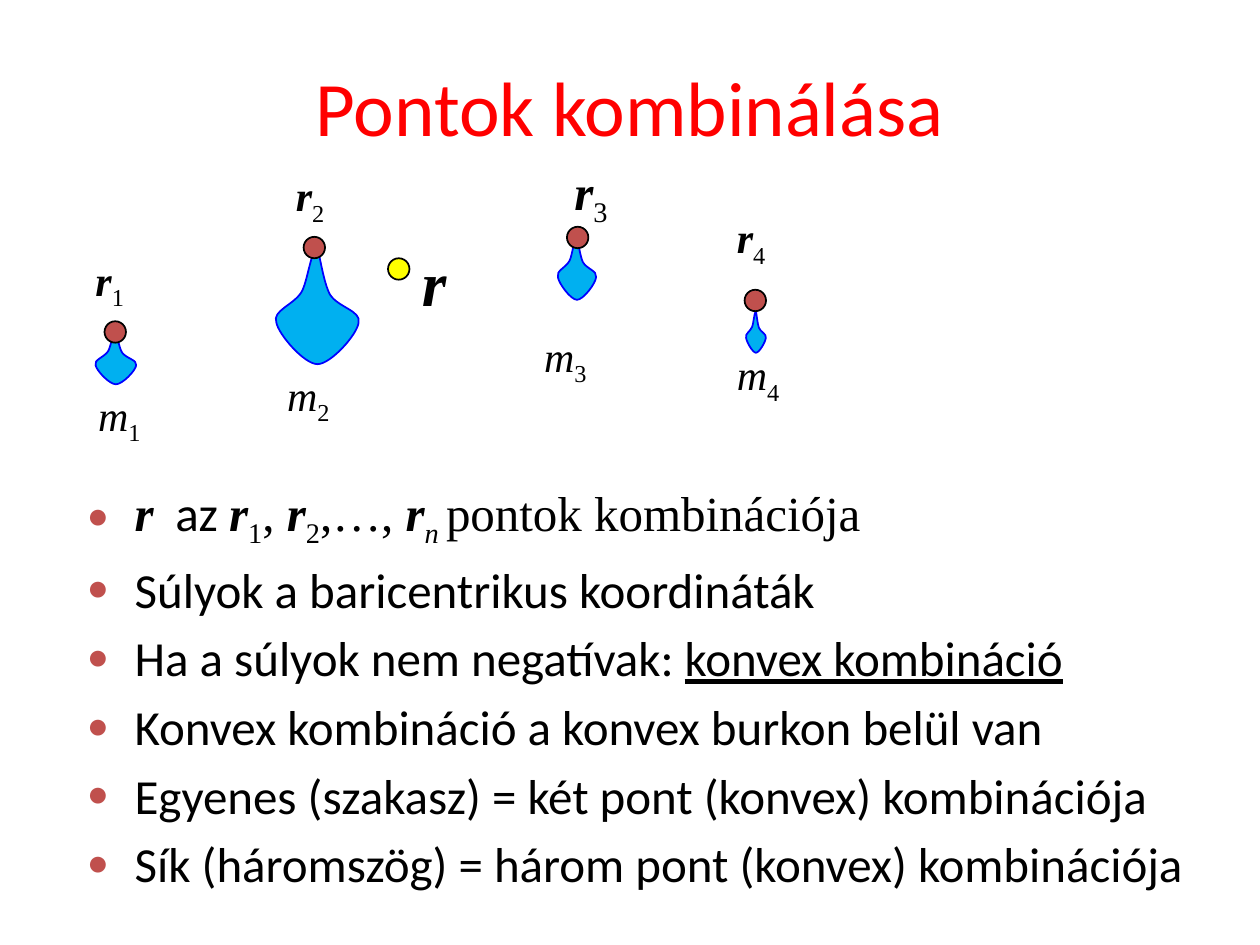
"""Build a slide on combining weighted points."""
from lxml.etree import SubElement
from pptx import Presentation
from pptx.dml.color import RGBColor
from pptx.enum.shapes import MSO_SHAPE
from pptx.enum.text import MSO_ANCHOR, MSO_AUTO_SIZE, PP_ALIGN
from pptx.oxml.ns import qn
from pptx.util import Inches, Pt


def hue(code):
    return RGBColor.from_string(code)


def write(para, text, size=28, face="Times New Roman", color="000000",
          bold=False, slant=False, under=False, sub=False, gap=0):
    run = para.add_run()
    run.text = text
    font = run.font
    font.size, font.name = Pt(size), face
    font.bold, font.italic, font.underline = bold, slant, under
    font.color.rgb = hue(color)
    props = run._r.get_or_add_rPr()
    if sub:
        props.set("baseline", "-25000")
    if gap:
        props.set("spc", str(gap))


deck = Presentation()
deck.slide_width, deck.slide_height = Inches(10), Inches(7.5)
slide = deck.slides.add_slide(deck.slide_layouts[6])
shapes = slide.shapes

rim = [
    (-0.07, 0), (-0.11, 0.29), (-0.18, 0.38),
    (-0.27, 0.49), (-0.51, 0.54), (-0.46, 0.64),
    (-0.44, 0.74), (-0.15, 1), (0, 1),
    (0.15, 1), (0.45, 0.74), (0.46, 0.64),
    (0.49, 0.54), (0.23, 0.51), (0.14, 0.4),
    (0.07, 0.3), (0.03, 0.08), (0, 0),
]
drops = [(0.92, 2.63, 0.35, 0.42), (4.58, 1.88, 0.33, 0.5),
         (2.52, 1.97, 0.71, 0.92), (6, 2.47, 0.17, 0.33)]
for mid, top, wide, high in drops:
    pen = shapes.build_freeform(Inches(mid), Inches(top))
    pen.add_line_segments([(Inches(mid + x * wide), Inches(top + y * high))
                           for x, y in rim])
    drop = pen.convert_to_shape()
    legs = list(drop._element.iter(qn("a:lnTo")))
    for one, two, end in zip(legs[::3], legs[1::3], legs[2::3]):
        one.tag = qn("a:cubicBezTo")
        for leg in (two, end):
            one.append(leg[0])
            leg.getparent().remove(leg)
    drop.shadow.inherit = False
    drop.fill.solid()
    drop.fill.fore_color.rgb = hue("00B0F0")
    drop.line.color.rgb = hue("0000FF")
    drop.line.width = Pt(1)

title = shapes.add_textbox(Inches(0), Inches(0.21), Inches(10), Inches(1.25))
frame = title.text_frame
frame.word_wrap = True
frame.vertical_anchor = MSO_ANCHOR.MIDDLE
head = frame.paragraphs[0]
head.alignment = PP_ALIGN.CENTER
write(head, "Pontok kombinálása", size=44, face="Calibri", color="FF0000")

sans = dict(face="Calibri")
vec = dict(bold=True, slant=True)
low = dict(sub=True)
rows = [
    [("r ", dict(vec, gap=270)), ("az ", sans), ("r", vec), ("1", low),
     (",", {}), (" r", vec), ("2", low), (",…, ", {}), ("r", vec),
     ("n ", dict(low, slant=True)), ("pontok kombinációja", {})],
    [("Súlyok a baricentrikus koordináták", sans)],
    [("Ha a súlyok nem negatívak: ", sans),
     ("konvex kombináció", dict(sans, under=True))],
    [("Konvex kombináció a konvex burkon belül van", sans)],
    [("Egyenes (szakasz) = két pont (konvex) kombinációja", sans)],
    [("Sík (háromszög) = három pont (konvex) kombinációja", sans)],
]
body = shapes.add_textbox(Inches(0.59), Inches(3.78), Inches(9.41), Inches(2.84))
frame = body.text_frame
frame.word_wrap = True
for i, row in enumerate(rows):
    para = frame.add_paragraph() if i else frame.paragraphs[0]
    para.space_before = Pt(5.6)
    props = para._p.get_or_add_pPr()
    props.set("marL", str(Inches(0.38)))
    props.set("indent", str(Inches(-0.38)))
    tint = SubElement(props, qn("a:buClr"))
    SubElement(tint, qn("a:srgbClr")).set("val", "C0504D")
    SubElement(props, qn("a:buSzPct")).set("val", "75000")
    SubElement(props, qn("a:buFont")).set("typeface", "Times New Roman")
    SubElement(props, qn("a:buChar")).set("char", "●")
    for text, form in row:
        write(para, text, **form)

dots = [(3.08, 2.05, "FFFF00"), (2.41, 1.88, "C0504D"), (4.5, 1.8, "C0504D"),
        (0.83, 2.55, "C0504D"), (5.91, 2.3, "C0504D")]
for left, top, color in dots:
    dot = shapes.add_shape(MSO_SHAPE.OVAL, Inches(left), Inches(top),
                           Inches(0.17), Inches(0.17))
    dot.shadow.inherit = False
    dot.fill.solid()
    dot.fill.fore_color.rgb = hue(color)
    dot.line.color.rgb = hue("000000")
    dot.line.width = Pt(1)

labels = [
    ("r", "1", 24, 0.66, 1.97, 0.44, 0.5),
    ("r", "2", 24, 2.25, 1.3, 0.44, 0.5),
    ("r", "4", 24, 5.75, 1.63, 0.44, 0.5),
    ("m", "1", 24, 0.68, 3.04, 0.56, 0.51),
    ("m", "2", 24, 2.18, 2.88, 0.56, 0.51),
    ("m", "3", 24, 4.22, 2.57, 0.56, 0.51),
    ("m", "4", 24, 5.75, 2.72, 0.56, 0.51),
    ("r", "", 36, 3.25, 1.88, 0.4, 0.71),
    ("r", "3", 28, 4.46, 1.23, 0.48, 0.57),
]
for name, mark, size, *place in labels:
    frame = shapes.add_textbox(*map(Inches, place)).text_frame
    frame.word_wrap = False
    frame.auto_size = MSO_AUTO_SIZE.SHAPE_TO_FIT_TEXT
    para = frame.paragraphs[0]
    write(para, name, size=size, bold=name == "r", slant=True)
    if mark:
        write(para, mark, size=size, sub=True)

deck.save("out.pptx")
